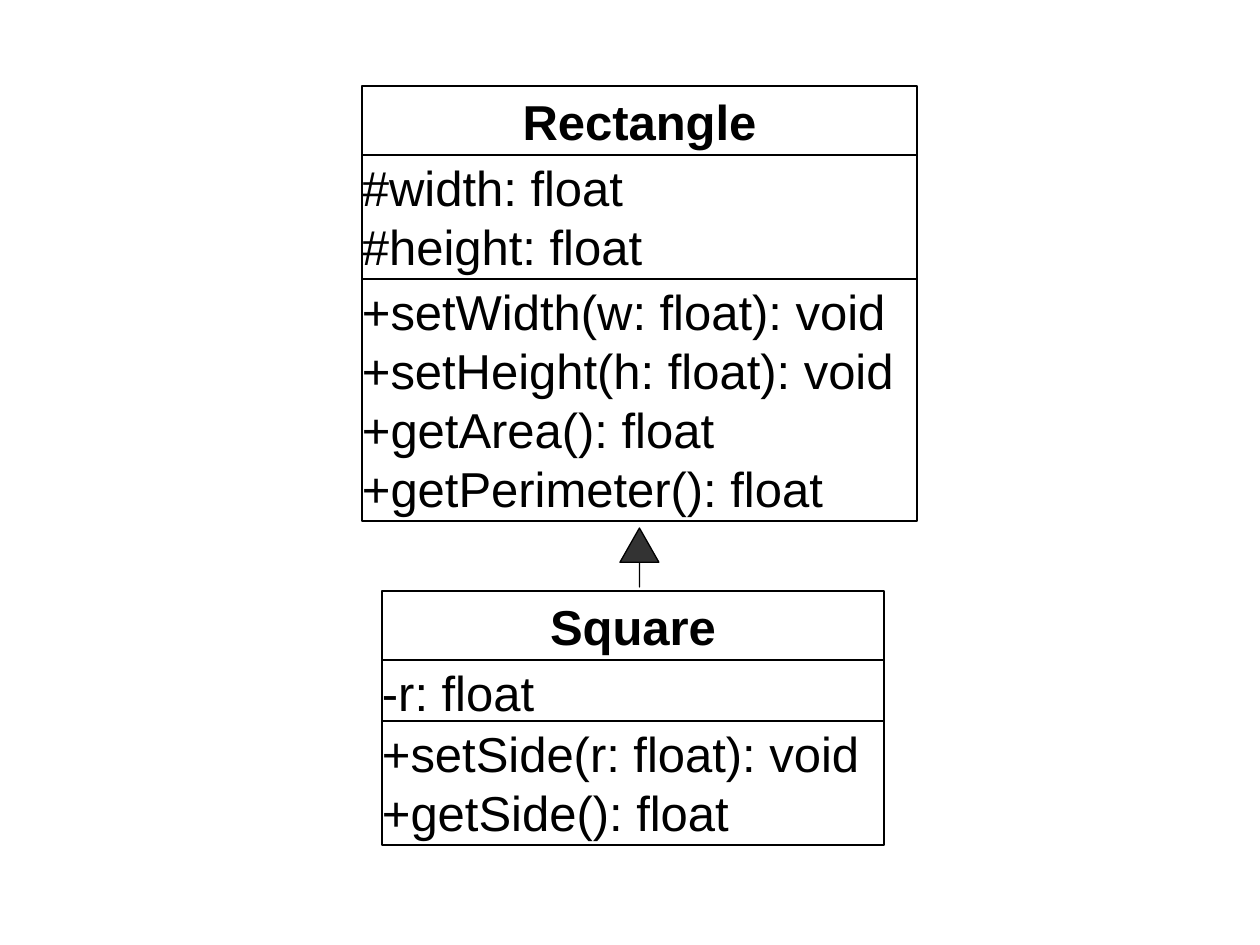
from dataclasses import dataclass

from pptx import Presentation
from pptx.dml.color import RGBColor
from pptx.enum.shapes import MSO_SHAPE as Shape
from pptx.enum.text import MSO_ANCHOR as Anchor, MSO_AUTO_SIZE as AutoSize, PP_ALIGN as Align
from pptx.util import Emu, Pt

PX = 914400 // 126
SLIDE = (1260, 945)

# "overlap" is how far the methods box covers the foot of the attributes box.
CLASSES = [
    {
        "name": "Square",
        "attributes": ["-r: float"],
        "methods": ["+setSide(r: float): void", "+getSide(): float"],
        "left": 382, "top": 591, "width": 502, "overlap": 4,
    },
    {
        "name": "Rectangle",
        "attributes": ["#width: float", "#height: float"],
        "methods": [
            "+setWidth(w: float): void",
            "+setHeight(h: float): void",
            "+getArea(): float",
            "+getPerimeter(): float",
        ],
        "left": 362, "top": 86, "width": 555, "overlap": 0,
    },
]
INHERITANCE = (620, 528, 39, 59)
HEAD_LENGTH = 0.88

TITLE_HEIGHT = 69
LINE_HEIGHT = 59
TITLE_MARGIN = 4
MEMBER_MARGIN = 3


@dataclass(frozen=True)
class Theme:
    font: str = "Arial"
    size: Pt = Pt(28)
    ink: RGBColor = RGBColor(0, 0, 0)
    paper: RGBColor = RGBColor(255, 255, 255)
    arrow: RGBColor = RGBColor(0x33, 0x33, 0x33)
    title_line: Pt = Pt(1)
    thin_line: Pt = Pt(0.75)


THEME = Theme()


def add_outlined(slide, kind, box, fill, line_width):
    shape = slide.shapes.add_shape(kind, *(Emu(v * PX) for v in box))
    shape.shadow.inherit = False
    shape.fill.solid()
    shape.fill.fore_color.rgb = fill
    shape.line.color.rgb = THEME.ink
    shape.line.width = line_width
    return shape


def add_compartment(slide, box, lines, is_title=False):
    line_width = THEME.title_line if is_title else THEME.thin_line
    compartment = add_outlined(slide, Shape.RECTANGLE, box, THEME.paper, line_width)
    frame = compartment.text_frame
    frame.text = "\n".join(lines)
    frame.word_wrap = True
    frame.auto_size = AutoSize.SHAPE_TO_FIT_TEXT
    frame.vertical_anchor = Anchor.MIDDLE if is_title else Anchor.TOP
    frame.margin_left = frame.margin_right = 0
    margin = TITLE_MARGIN if is_title else MEMBER_MARGIN
    frame.margin_top = frame.margin_bottom = Emu(margin * PX)
    for paragraph in frame.paragraphs:
        paragraph.alignment = Align.CENTER if is_title else Align.LEFT
        for run in paragraph.runs:
            run.font.name = THEME.font
            run.font.size = THEME.size
            run.font.bold = is_title
            run.font.color.rgb = THEME.ink


def members_height(members):
    return len(members) * LINE_HEIGHT + 2 * MEMBER_MARGIN


def add_class(slide, uml):
    left, top, width = uml["left"], uml["top"], uml["width"]
    add_compartment(slide, (left, top, width, TITLE_HEIGHT), [uml["name"]], is_title=True)
    top += TITLE_HEIGHT
    for members in (uml["attributes"], uml["methods"]):
        height = members_height(members)
        add_compartment(slide, (left, top, width, height), members)
        top += height - uml["overlap"]


def main():
    deck = Presentation()
    deck.slide_width, deck.slide_height = (Emu(v * PX) for v in SLIDE)
    slide = deck.slides.add_slide(deck.slide_layouts[6])
    for uml in CLASSES:
        add_class(slide, uml)
    arrow = add_outlined(slide, Shape.UP_ARROW, INHERITANCE, THEME.arrow, THEME.thin_line)
    arrow.adjustments[0] = 0
    arrow.adjustments[1] = HEAD_LENGTH
    deck.save("out.pptx")


if __name__ == "__main__":
    main()
